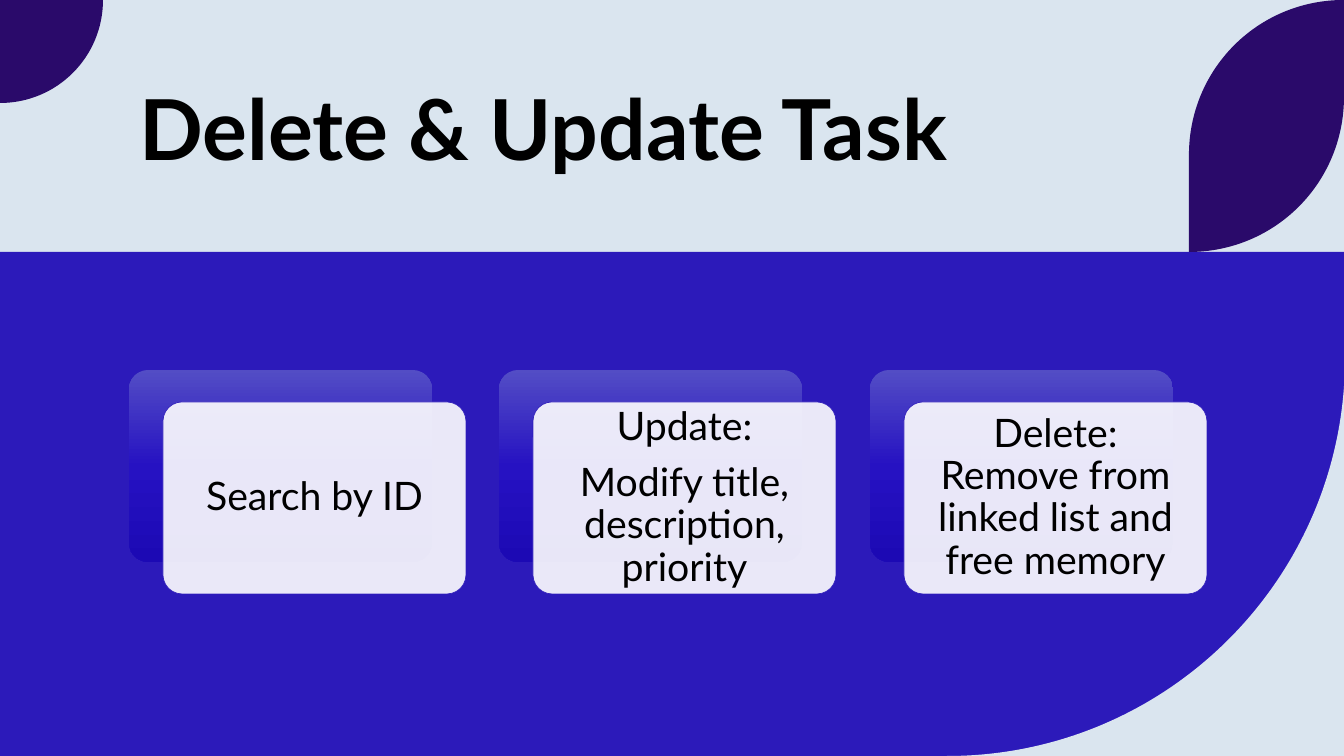
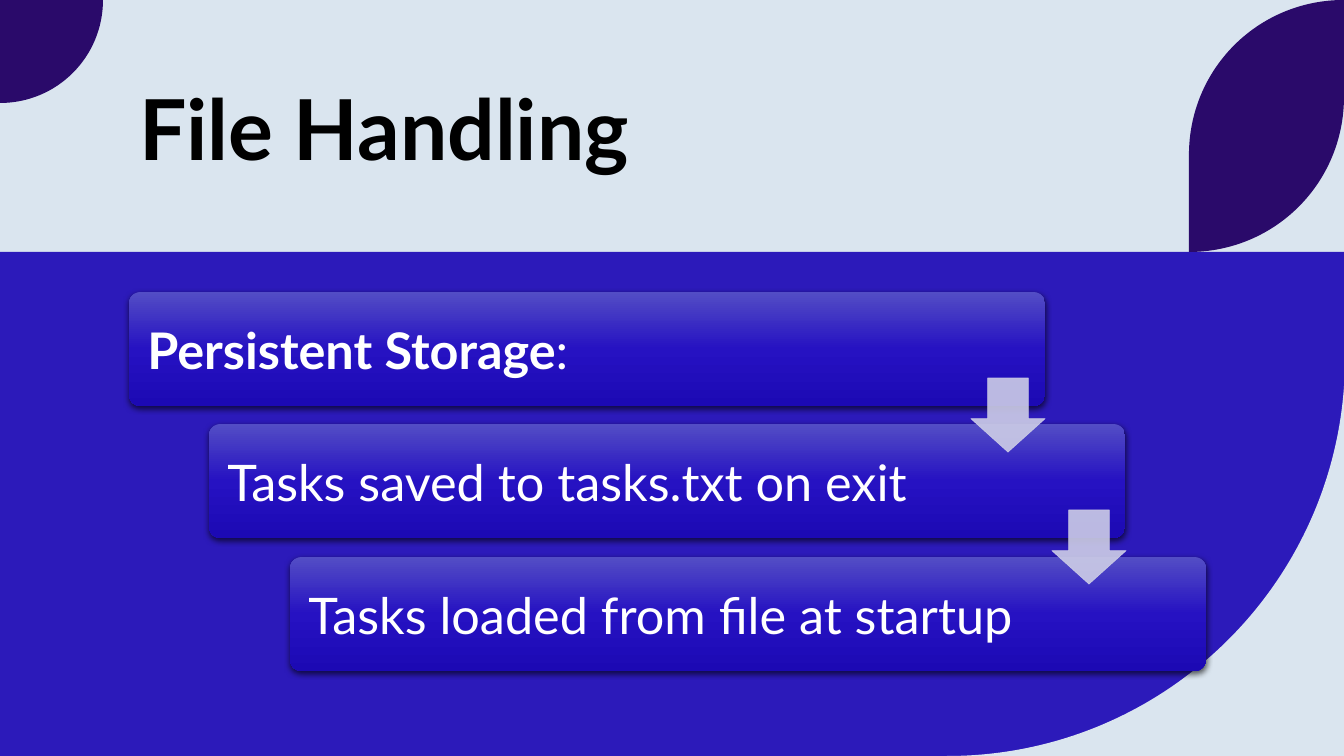
"""Build two slides on task handling: delete and update, and file storage."""
from copy import deepcopy
from dataclasses import dataclass

from lxml.etree import SubElement
from pptx import Presentation
from pptx.dml.color import RGBColor
from pptx.enum.shapes import MSO_SHAPE
from pptx.enum.text import MSO_ANCHOR, PP_ALIGN
from pptx.oxml.ns import qn
from pptx.util import Pt

SCALE = 12192000 / 1344


@dataclass(frozen=True)
class Theme:
    font: str = "Lato"
    pale: str = "DAE5EF"
    blue: str = "2C1ABA"
    violet: str = "2A0A6A"
    white: str = "FFFFFF"
    black: str = "000000"
    arrow: str = "CDCDE7"
    gradient: tuple = ("534DC5", "2612C2", "1C09B4")
    title_size: int = 60
    step_size: int = 36
    card_size: int = 28


theme = Theme()


def add_text(shape, text, *, size, color, bold_lead="", align=PP_ALIGN.LEFT,
             anchor=MSO_ANCHOR.MIDDLE, inset=(10, 5), spacing=1.0, after=0):
    frame = shape.text_frame
    frame.word_wrap = True
    frame.vertical_anchor = anchor
    frame.margin_left = frame.margin_right = round(inset[0] * SCALE)
    frame.margin_top = frame.margin_bottom = round(inset[1] * SCALE)
    for index, line in enumerate(text.split("\n")):
        para = frame.add_paragraph() if index else frame.paragraphs[0]
        para.alignment = align
        para.line_spacing = spacing
        para.space_after = Pt(after)
        for words, bold in ((bold_lead, True), (line.removeprefix(bold_lead), False)):
            if words:
                span = para.add_run()
                span.text = words
                span.font.name = theme.font
                span.font.size = Pt(size)
                span.font.bold = bold
                span.font.color.rgb = RGBColor.from_string(color)


def add_box(page, kind, place, adjustments=(), *, fill=None, line=None, opacity=100):
    box = page.shapes.add_shape(kind, *(round(length * SCALE) for length in place))
    box.shadow.inherit = False
    for index, value in enumerate(adjustments):
        box.adjustments[index] = value
    if fill:
        box.fill.solid()
        box.fill.fore_color.rgb = RGBColor.from_string(fill)
    else:
        box.fill.gradient()
        box.fill.gradient_angle = 270
        stop_list = box.element.spPr.find(qn("a:gradFill")).find(qn("a:gsLst"))
        stop_list.insert(1, deepcopy(stop_list[0]))
        for index, stop in enumerate(box.fill.gradient_stops):
            stop.position = index / 2
            stop.color.rgb = RGBColor.from_string(theme.gradient[index])
    if line:
        box.line.width = Pt(0.5)
        box.line.color.rgb = RGBColor.from_string(line)
    else:
        box.line.fill.background()
    if opacity < 100:
        for color in box.element.spPr.iter(qn("a:srgbClr")):
            SubElement(color, qn("a:alpha"), val=str(opacity * 1000))
    return box


deck = Presentation()
deck.slide_width = round(1344 * SCALE)
deck.slide_height = round(756 * SCALE)
backdrop = deck.slide_master.background.fill
backdrop.solid()
backdrop.fore_color.rgb = RGBColor.from_string(theme.pale)

cutout = [[(1345, 358)], [(1345, 578), (1167, 756), (947, 756)], [(1345, 756)]]
corner = [[(0, 0)], [(103, 0)], [(103, 57), (57, 103), (0, 103)]]
leaf = [[(1344, 0)], [(1344, 97)], [(1344, 183), (1275, 252), (1189, 252)],
        [(1189, 155)], [(1189, 69), (1258, 0), (1344, 0)]]
outlines = ((cutout, theme.pale), (corner, theme.violet), (leaf, theme.violet))

pages = []
for title in ("Delete & Update Task", "File Handling"):
    page = deck.slides.add_slide(deck.slide_layouts[6])
    add_box(page, MSO_SHAPE.RECTANGLE, (0, 252, 1345, 504), fill=theme.blue)
    for segments, color in outlines:
        start, *rest = [(round(x * SCALE), round(y * SCALE))
                        for segment in segments for x, y in segment]
        builder = page.shapes.build_freeform(*start)
        builder.add_line_segments(rest)
        outline = builder.convert_to_shape()
        outline.shadow.inherit = False
        outline.fill.solid()
        outline.fill.fore_color.rgb = RGBColor.from_string(color)
        outline.line.fill.background()
        edges = iter(list(outline.element.spPr.iter(qn("a:lnTo"))))
        for segment in segments[1:]:
            curve, *handles = [next(edges) for point in segment]
            if handles:
                curve.tag = qn("a:cubicBezTo")
            for handle in handles:
                curve.append(handle[0])
                handle.getparent().remove(handle)
    heading = page.shapes.add_textbox(*(round(length * SCALE) for length in (129, 6, 1077, 176)))
    add_text(heading, title, size=theme.title_size, color=theme.black, bold_lead=title,
             anchor=MSO_ANCHOR.BOTTOM, spacing=0.8)
    pages.append(page)
task_page, file_page = pages

cards = (
    "Search by ID",
    "Update:\nModify title, description, priority",
    "Delete: Remove from linked list and free memory",
)
for index, text in enumerate(cards):
    left, top = 129 + 741 * index // 2, 370
    add_box(task_page, MSO_SHAPE.ROUNDED_RECTANGLE, (left, top, 303, 192), [0.1])
    card = add_box(task_page, MSO_SHAPE.ROUNDED_RECTANGLE, (left + 34, top + 32, 303, 192), [0.1],
                   fill=theme.white, line=theme.blue, opacity=90)
    add_text(card, text, size=theme.card_size, color=theme.black, align=PP_ALIGN.CENTER,
             inset=(12, 12), spacing=0.9, after=10)

steps = (
    ("Persistent Storage:", "Persistent Storage"),
    ("Tasks saved to tasks.txt on exit", ""),
    ("Tasks loaded from file at startup", ""),
)
for index, (text, bold_lead) in enumerate(steps):
    step = add_box(file_page, MSO_SHAPE.ROUNDED_RECTANGLE,
                   (129 + 161 * index // 2, 292 + 265 * index // 2, 916, 114), [0.1])
    effects = step.element.spPr.find(qn("a:effectLst"))
    shadow = SubElement(effects, qn("a:outerShdw"), blurRad=str(Pt(4.5)), dist=str(Pt(1.5)),
                        dir="5400000", algn="ctr", rotWithShape="0")
    shade = SubElement(shadow, qn("a:srgbClr"), val=theme.black)
    SubElement(shade, qn("a:alpha"), val="63000")
    add_text(step, text, size=theme.step_size, color=theme.white, bold_lead=bold_lead,
             inset=(15, 15), after=12.6)

for index in range(len(steps) - 1):
    add_box(file_page, MSO_SHAPE.DOWN_ARROW, (971 + 81 * index, 378 + 132 * index, 74, 74),
            [0.55, 0.45], fill=theme.arrow, line=theme.arrow, opacity=90)

deck.save("out.pptx")
